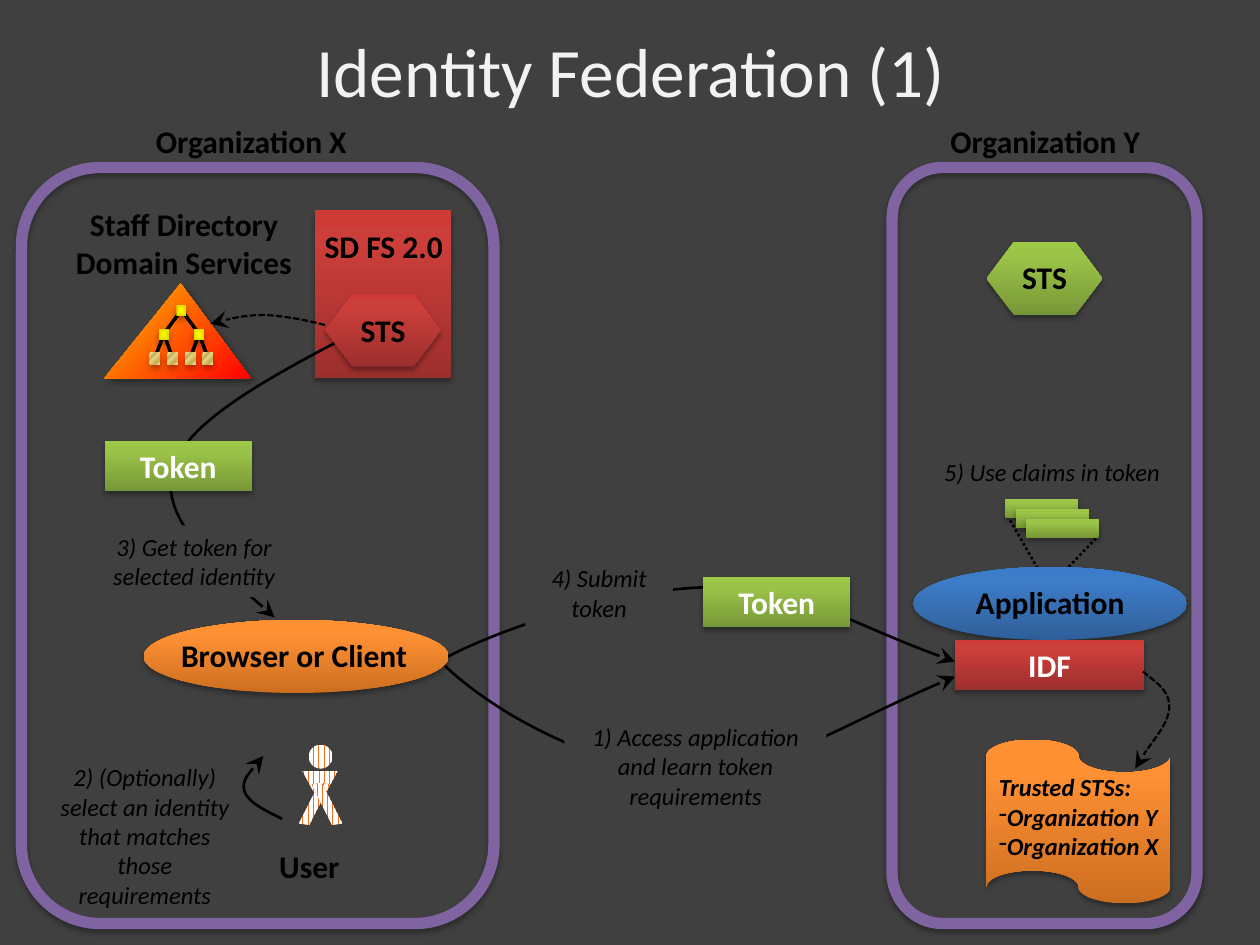
from dataclasses import dataclass
from typing import NamedTuple, Optional

from lxml.etree import SubElement
from pptx import Presentation
from pptx.dml.color import RGBColor
from pptx.enum.dml import MSO_LINE, MSO_PATTERN
from pptx.enum.shapes import MSO_CONNECTOR, MSO_SHAPE as Shape
from pptx.enum.text import MSO_ANCHOR, MSO_AUTO_SIZE, PP_ALIGN
from pptx.oxml.ns import qn
from pptx.util import Inches, Pt


class Gradient(NamedTuple):
    stops: tuple
    angle: Optional[int] = 270  # None means from the centre outwards


class Shadow(NamedTuple):
    alpha: int = 35
    blur: float = 3.1
    distance: float = 1.8
    angle: int = 90


@dataclass(frozen=True)
class Theme:
    font: str = "Calibri"
    background: str = "404040"
    title: str = "F2F2F2"
    ink: str = "000000"
    white: str = "FFFFFF"
    panel: str = "8064A2"
    person: str = "F37021"
    title_size: float = 39.6
    label_size: int = 18
    note_size: int = 14
    red: Gradient = Gradient(((0, "9C2F2D"), (80, "CB3E3A"), (100, "CE3B37")))
    green: Gradient = Gradient(((0, "779737"), (80, "9BC348"), (100, "9DC746")))
    orange: Gradient = Gradient(((0, "CC6E20"), (80, "FF9034"), (100, "FF9136")))
    blue: Gradient = Gradient(((0, "2F5F99"), (80, "3D7CC7"), (100, "3A7CCB")))
    flame: Gradient = Gradient(((0, "FFC000"), (100, "FF0000")), 45)
    yellow: Gradient = Gradient(((0, "FFFF00"), (100, "DADA00")), None)
    sand: Gradient = Gradient(((0, "E6DCAC"), (12, "E6D78A"), (30, "C7AC4C"),
                               (45, "E6D78A"), (77, "C7AC4C"), (100, "E6DCAC")), 45)


class Block(NamedTuple):
    kind: Shape
    box: tuple
    fill: Gradient
    text: str = ""
    adjustments: tuple = ()
    shadow: Shadow = Shadow()


class Label(NamedTuple):
    text: str
    box: tuple
    note: bool = False
    masked: bool = False  # hides the arrow behind it


class Arrow(NamedTuple):
    points: tuple  # start, then three points for each curve
    width: float = 1.5
    dashed: bool = False


THEME = Theme()


def rgb(value: str) -> RGBColor:
    return RGBColor.from_string(value)


def set_gradient(shape, gradient: Gradient) -> None:
    shape.fill.gradient()
    element = shape.element.spPr.find(qn("a:gradFill"))
    for child in list(element):
        element.remove(child)
    stops = SubElement(element, qn("a:gsLst"))
    for position, color in gradient.stops:
        stop = SubElement(stops, qn("a:gs"), pos=str(position * 1000))
        SubElement(stop, qn("a:srgbClr"), val=color)
    if gradient.angle is None:
        centre = SubElement(element, qn("a:path"), {"path": "shape"})
        SubElement(centre, qn("a:fillToRect"), dict.fromkeys("ltrb", "50000"))
    else:
        SubElement(element, qn("a:lin"), ang=str(gradient.angle * 60000), scaled="0")


def set_shadow(shape, shadow: Shadow) -> None:
    shape.shadow.inherit = False
    effects = shape.element.spPr.find(qn("a:effectLst"))
    outer = SubElement(effects, qn("a:outerShdw"), blurRad=str(Pt(shadow.blur)),
                       dist=str(Pt(shadow.distance)), dir=str(shadow.angle * 60000),
                       rotWithShape="0")
    color = SubElement(outer, qn("a:srgbClr"), val=THEME.ink)
    SubElement(color, qn("a:alpha"), val=str(shadow.alpha * 1000))


def flip(shape) -> None:
    shape.element.spPr.find(qn("a:xfrm")).set("flipH", "1")


def write(shape, text: str, color: str, note: bool = False, bold: bool = True,
          align=PP_ALIGN.CENTER) -> None:
    frame = shape.text_frame
    frame.text = text
    frame.word_wrap = True
    frame.auto_size = MSO_AUTO_SIZE.SHAPE_TO_FIT_TEXT
    for paragraph in frame.paragraphs:
        paragraph.alignment = align
        font = paragraph.font
        font.name, font.bold, font.italic = THEME.font, bold, note
        font.size = Pt(THEME.note_size if note else THEME.label_size)
        font.color.rgb = rgb(color)


def add_block(slide, block: Block):
    shape = slide.shapes.add_shape(block.kind, *map(Inches, block.box))
    for index, value in enumerate(block.adjustments):
        shape.adjustments[index] = value
    set_gradient(shape, block.fill)
    shape.line.fill.background()
    set_shadow(shape, block.shadow)
    if block.text:
        write(shape, block.text, THEME.white)
    return shape


def add_label(slide, label: Label) -> None:
    shape = slide.shapes.add_textbox(*map(Inches, label.box))
    if label.masked:
        shape.fill.solid()
        shape.fill.fore_color.rgb = rgb(THEME.background)
    write(shape, label.text, THEME.ink, label.note, not label.note)


def add_arrow(slide, arrow: Arrow) -> None:
    points = [(Inches(x), Inches(y)) for x, y in arrow.points]
    builder = slide.shapes.build_freeform(*points[0])
    builder.add_line_segments(points[1:], close=False)
    shape = builder.convert_to_shape()
    # Join every three straight segments into one Bézier curve
    outline = shape.element.spPr.find(".//" + qn("a:path"))
    segments = outline.findall(qn("a:lnTo"))
    for start in range(0, len(segments), 3):
        curve = SubElement(outline, qn("a:cubicBezTo"))
        for segment in segments[start:start + 3]:
            curve.append(segment[0])
            outline.remove(segment)
    shape.fill.background()
    shape.shadow.inherit = False
    shape.line.color.rgb = rgb(THEME.ink)
    shape.line.width = Pt(arrow.width)
    if arrow.dashed:
        shape.line.dash_style = MSO_LINE.SQUARE_DOT
    SubElement(shape.element.spPr.find(qn("a:ln")), qn("a:tailEnd"),
               type="stealth", w="lg", len="lg")


def add_line(slide, start: tuple, end: tuple, width: float, dotted: bool = False) -> None:
    line = slide.shapes.add_connector(MSO_CONNECTOR.STRAIGHT, *map(Inches, start + end))
    line.line.color.rgb = rgb(THEME.ink)
    line.line.width = Pt(width)
    if dotted:
        line.line.dash_style = MSO_LINE.ROUND_DOT
    SubElement(line.element.spPr, qn("a:effectLst"))


def add_panel(slide, box: tuple) -> None:
    panel = slide.shapes.add_shape(Shape.ROUNDED_RECTANGLE, *map(Inches, box))
    panel.fill.background()
    panel.line.color.rgb = rgb(THEME.panel)
    panel.line.width = Pt(6.5)
    set_shadow(panel, Shadow())


def add_directory_tree(slide) -> None:
    root, branches = (1.44, 2.46), [(1.3, 2.65), (1.58, 2.65)]
    leaves = [(x + offset, 2.84) for x, _ in branches for offset in (-0.07, 0.07)]
    for index, branch in enumerate(branches):
        add_line(slide, root, branch, 2)
        for leaf in leaves[2 * index:2 * index + 2]:
            add_line(slide, branch, leaf, 2)
    for nodes, fill in (([root, *branches], THEME.yellow), (leaves, THEME.sand)):
        for x, y in nodes:
            add_block(slide, Block(Shape.RECTANGLE, (x - 0.04, y - 0.04, 0.08, 0.09),
                                   fill, shadow=Shadow(32, 3.5, 2.2)))


def add_person(slide) -> None:
    parts = ((Shape.OVAL, (2.45, 5.91, 0.19, 0.19), 0),
             (Shape.ISOSCELES_TRIANGLE, (2.4, 6.12, 0.28, 0.26), 180),
             (Shape.PARALLELOGRAM, (2.3, 6.34, 0.39, 0.08), 296.7),
             (Shape.PARALLELOGRAM, (2.4, 6.34, 0.39, 0.08), 63.3))
    for kind, box, rotation in parts:
        part = slide.shapes.add_shape(kind, *map(Inches, box))
        part.rotation = rotation
        part.fill.patterned()
        part.fill.pattern = MSO_PATTERN.DARK_VERTICAL
        part.fill.fore_color.rgb = rgb(THEME.white)
        part.fill.back_color.rgb = rgb(THEME.person)
        part.line.fill.background()
        part.shadow.inherit = False
        if kind == Shape.PARALLELOGRAM:
            part.adjustments[0] = 0.335
        if rotation > 180:
            flip(part)


def add_trust_list(slide) -> None:
    flip(add_block(slide, Block(Shape.FLOWCHART_PUNCHED_TAPE, (7.83, 5.87, 1.46, 1.3),
                                THEME.orange)))
    box = slide.shapes.add_textbox(*map(Inches, (7.83, 6.08, 1.5, 0.81)))
    write(box, "Trusted STSs:\nOrganization Y\nOrganization X", THEME.ink, True,
          align=PP_ALIGN.LEFT)
    for properties in box.element.findall(".//" + qn("a:pPr"))[1:]:
        # The bullet has to stand before the font settings
        properties.insert(0, SubElement(properties, qn("a:buChar"), char="-"))


def main() -> None:
    presentation = Presentation()
    presentation.slide_width, presentation.slide_height = Inches(10), Inches(7.5)
    slide = presentation.slides.add_slide(presentation.slide_layouts[5])
    slide.background.fill.solid()
    slide.background.fill.fore_color.rgb = rgb(THEME.background)

    title = slide.shapes.title
    title.left, title.top, title.width, title.height = map(Inches, (0.42, 0.25, 9.17, 0.61))
    write(title, "Identity Federation (1)", THEME.title, bold=False)
    title.text_frame.auto_size = MSO_AUTO_SIZE.NONE
    title.text_frame.vertical_anchor = MSO_ANCHOR.MIDDLE
    title.text_frame.paragraphs[0].font.size = Pt(THEME.title_size)

    hexagon = (0.375, 1.155)
    # Each item is drawn over those before it
    items = (
        # Organization X and its directory
        Block(Shape.RECTANGLE, (2.5, 1.67, 1.08, 1.33), THEME.red),
        Label("SD FS 2.0", (2.42, 1.75, 1.25, 0.4)),
        Label("Organization X", (1.08, 0.92, 1.83, 0.4)),
        Label("Staff Directory Domain Services", (0.5, 1.58, 1.92, 0.71)),
        Block(Shape.ISOSCELES_TRIANGLE, (0.83, 2.25, 1.16, 0.75), THEME.flame,
              adjustments=(0.521,), shadow=Shadow(40, 4, 3, 45)),
        Arrow(((2.58, 2.58), (2.43, 2.54), (2.27, 2.51), (2.11, 2.5),
               (1.96, 2.5), (1.81, 2.53), (1.67, 2.57)), 1.25, True),
        # Organization Y
        Label("Organization Y", (7.42, 0.92, 1.75, 0.4)),
        Block(Shape.HEXAGON, (7.83, 1.92, 0.92, 0.58), THEME.green, adjustments=hexagon),
        Label("STS", (7.83, 2, 0.92, 0.4)),
        # Step 1
        Arrow(((3.42, 5.17), (3.83, 5.63), (4.71, 6.09), (5.4, 6.13),
               (6.1, 6.16), (6.61, 5.77), (7.58, 5.37))),
        Label("1) Access application and learn token requirements",
              (4.48, 5.68, 2.08, 0.81), True, True),
        # Step 2
        Label("2) (Optionally) select an identity that matches those requirements",
              (0.37, 6, 1.56, 1.28), True),
        Arrow(((2.24, 6.5), (2.1, 6.43), (1.97, 6.37), (1.94, 6.28),
               (1.92, 6.2), (2, 6.1), (2.09, 6))),
        Label("User", (2.08, 6.67, 0.75, 0.4)),
        # Step 3
        Arrow(((2.93, 2.58), (2.22, 2.95), (1.5, 3.32), (1.38, 3.7),
               (1.25, 4.09), (1.71, 4.49), (2.18, 4.9))),
        Label("3) Get token for selected identity", (0.75, 4.17, 1.58, 0.57), True, True),
        Block(Shape.RECTANGLE, (0.83, 3.5, 1.17, 0.4), THEME.green, "Token"),
        Block(Shape.HEXAGON, (2.58, 2.33, 0.92, 0.58), THEME.red, adjustments=hexagon),
        Label("STS", (2.58, 2.42, 0.92, 0.4)),
        # Step 4
        Arrow(((3.48, 5.25), (4.01, 4.96), (4.99, 4.66), (5.67, 4.66),
               (6.35, 4.66), (6.74, 4.96), (7.58, 5.25))),
        Label("4) Submit token", (4.17, 4.42, 1.17, 0.57), True, True),
        Block(Shape.RECTANGLE, (5.58, 4.58, 1.17, 0.4), THEME.green, "Token"),
        Block(Shape.OVAL, (1.14, 4.92, 2.42, 0.58), THEME.orange),
        Label("Browser or Client", (1.25, 5, 2.17, 0.4)),
        # Step 5
        Label("5) Use claims in token", (7.35, 3.58, 2, 0.34), True),
        *(Block(Shape.RECTANGLE, (7.98 + 0.08 * step, 3.96 + 0.08 * step, 0.58, 0.15),
                THEME.green) for step in range(3)),
        Block(Shape.OVAL, (7.25, 4.5, 2.17, 0.58), THEME.blue),
        Label("Application", (7.25, 4.58, 2.17, 0.4)),
        Block(Shape.RECTANGLE, (7.58, 5.08, 1.5, 0.4), THEME.red, "IDF"),
    )
    draw = {Block: add_block, Label: add_label, Arrow: add_arrow}

    for box in ((0.17, 1.33, 3.75, 6), (7.08, 1.33, 2.42, 6)):
        add_panel(slide, box)
    add_line(slide, (8.4, 4.8), (8, 4.1), 1.5, True)
    add_line(slide, (8.25, 4.74), (8.72, 4.25), 1.5, True)
    for item in items:
        draw[type(item)](slide, item)
    add_directory_tree(slide)
    add_person(slide)
    add_trust_list(slide)
    add_arrow(slide, Arrow(((9.07, 5.33), (9.2, 5.43), (9.29, 5.5), (9.28, 5.62),
                            (9.27, 5.75), (9.1, 5.93), (9.01, 6.1)), 1.25, True))

    presentation.save("out.pptx")


if __name__ == "__main__":
    main()
